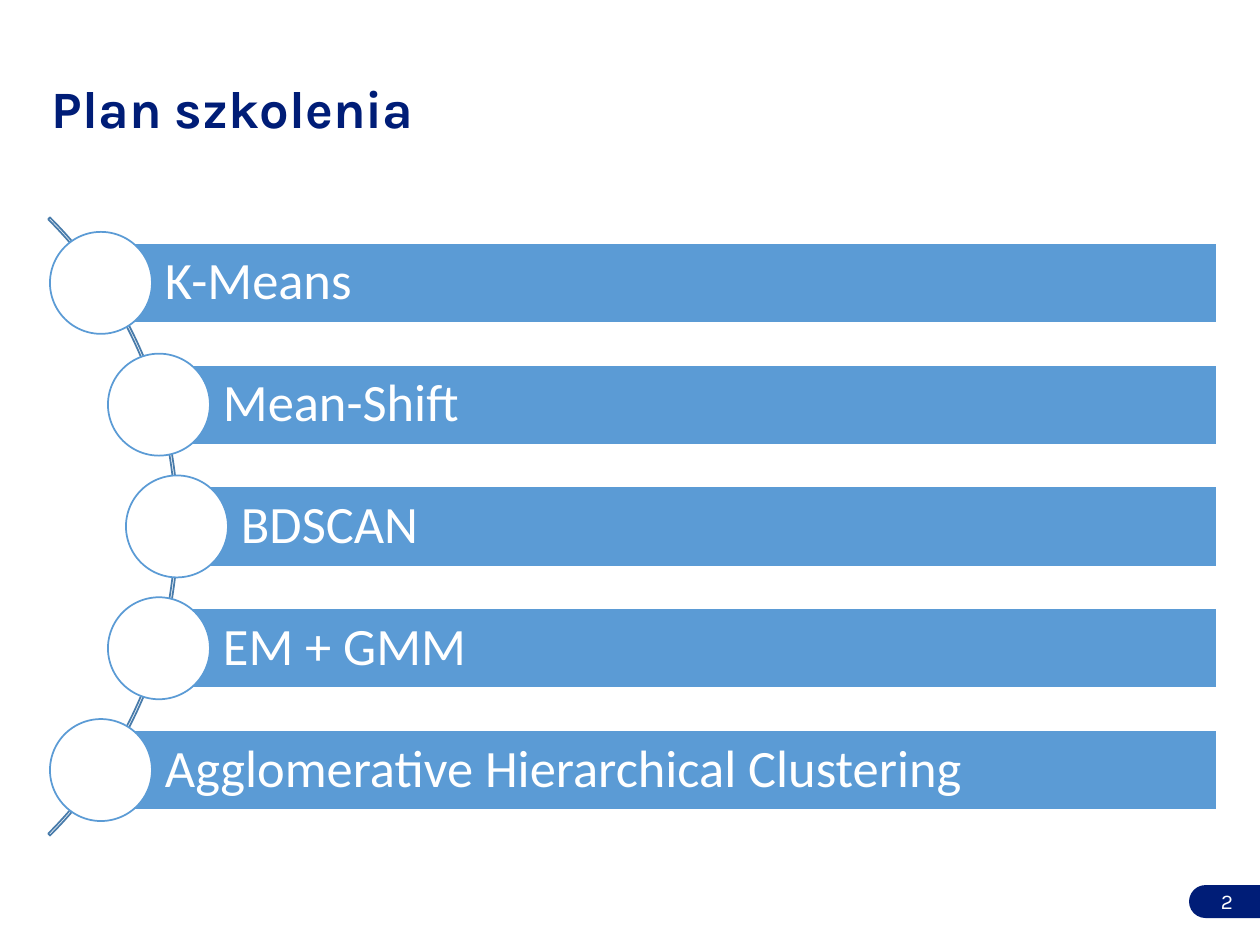
import pptx
import pptx.dml.color
import pptx.enum.shapes
import pptx.enum.text
import pptx.util

EMU_PER_PX = 914400 / 126
COLORS = {"navy": "001D77", "bar": "5B9BD5", "arc": "497CAB", "white": "FFFFFF"}
TOPICS = ["K-Means", "Mean-Shift", "BDSCAN", "EM + GMM", "Agglomerative Hierarchical Clustering"]
CENTER_OFFSETS = [51, 109, 127, 109, 51]
SHAPES = pptx.enum.shapes.MSO_SHAPE
ALIGN = pptx.enum.text.PP_ALIGN


def px(length):
    return pptx.util.Emu(round(length * EMU_PER_PX))


def color(name):
    return pptx.dml.color.RGBColor.from_string(COLORS[name])


def add_shape(page, kind, box, fill=None, line=None):
    shape = page.shapes.add_shape(kind, *map(px, box))
    shape.shadow.inherit = False
    if fill:
        shape.fill.solid()
        shape.fill.fore_color.rgb = color(fill)
    else:
        shape.fill.background()
    if line:
        shape.line.color.rgb = color(line)
        shape.line.width = pptx.util.Pt(1)
    else:
        shape.line.fill.background()
    return shape


def write(shape, text, ink, size, font, bold=False, align=ALIGN.LEFT, spacing=0.9, insets=(13, 6, 13, 6)):
    """Put one vertically centred line of text in a shape; insets run left, top, right, bottom."""
    frame = shape.text_frame
    left, top, right, bottom = map(px, insets)
    frame_format = {
        "word_wrap": True,
        "vertical_anchor": pptx.enum.text.MSO_ANCHOR.MIDDLE,
        "margin_left": left,
        "margin_top": top,
        "margin_right": right,
        "margin_bottom": bottom,
    }
    for name, value in frame_format.items():
        setattr(frame, name, value)
    para = frame.paragraphs[0]
    para.alignment = align
    para.line_spacing = spacing
    span = para.add_run()
    span.text = text
    for name, value in {"name": font, "size": pptx.util.Pt(size), "bold": bold}.items():
        setattr(span.font, name, value)
    span.font.color.rgb = color(ink)


def add_title(page, box):
    title = page.shapes.add_textbox(*map(px, box))
    write(title, "Plan szkolenia", "navy", 30, "Karla", bold=True)


def add_topic_list(page, box):
    """Bars with circles strung along a thin arc that bulges to the right."""
    left, top, width, height = box
    bar_height, circle_size, arc_size = 80, 102, 874
    pitch = height / len(TOPICS)
    middle = top + height / 2

    arc_box = (left - 746, middle - arc_size / 2, arc_size, arc_size)
    arc = add_shape(page, SHAPES.BLOCK_ARC, arc_box, line="arc")
    for index, value in enumerate([189, 27, 0.003]):
        arc.adjustments[index] = value

    for row, (topic, offset) in enumerate(zip(TOPICS, CENTER_OFFSETS)):
        center_x = left + offset
        center_y = top + pitch * (row + 0.5)
        bar_box = (center_x, center_y - bar_height / 2, width - offset, bar_height)
        bar = add_shape(page, SHAPES.RECTANGLE, bar_box, "bar", "white")
        write(bar, topic, "white", 30, "Calibri", insets=(64, 10, 10, 10))
        circle_box = (center_x - circle_size / 2, center_y - circle_size / 2, circle_size, circle_size)
        add_shape(page, SHAPES.OVAL, circle_box, "white", "bar")


def add_page_number(page, box, number):
    """A tab rounded on its left side: a top-rounded shape turned a quarter to the left."""
    left, top, width, height = box
    shift = (width - height) / 2
    tab_box = (left + shift, top - shift, height, width)
    tab = add_shape(page, SHAPES.ROUND_2_SAME_RECTANGLE, tab_box, "navy")
    tab.rotation = 270
    tab.adjustments[0] = 0.5
    label = page.shapes.add_textbox(px(left - 299), px(top - 9), px(356), px(50))
    write(label, number, "white", 12, "Karla", align=ALIGN.RIGHT, spacing=1.0)


def main():
    deck = pptx.Presentation()
    deck.slide_width, deck.slide_height = px(1260), px(945)
    page = deck.slides.add_slide(deck.slide_layouts[6])
    add_title(page, (39, 50, 1187, 123))
    add_topic_list(page, (50, 222, 1167, 609))
    add_page_number(page, (1189, 885, 71, 33), "2")
    deck.save("out.pptx")


if __name__ == "__main__":
    main()
